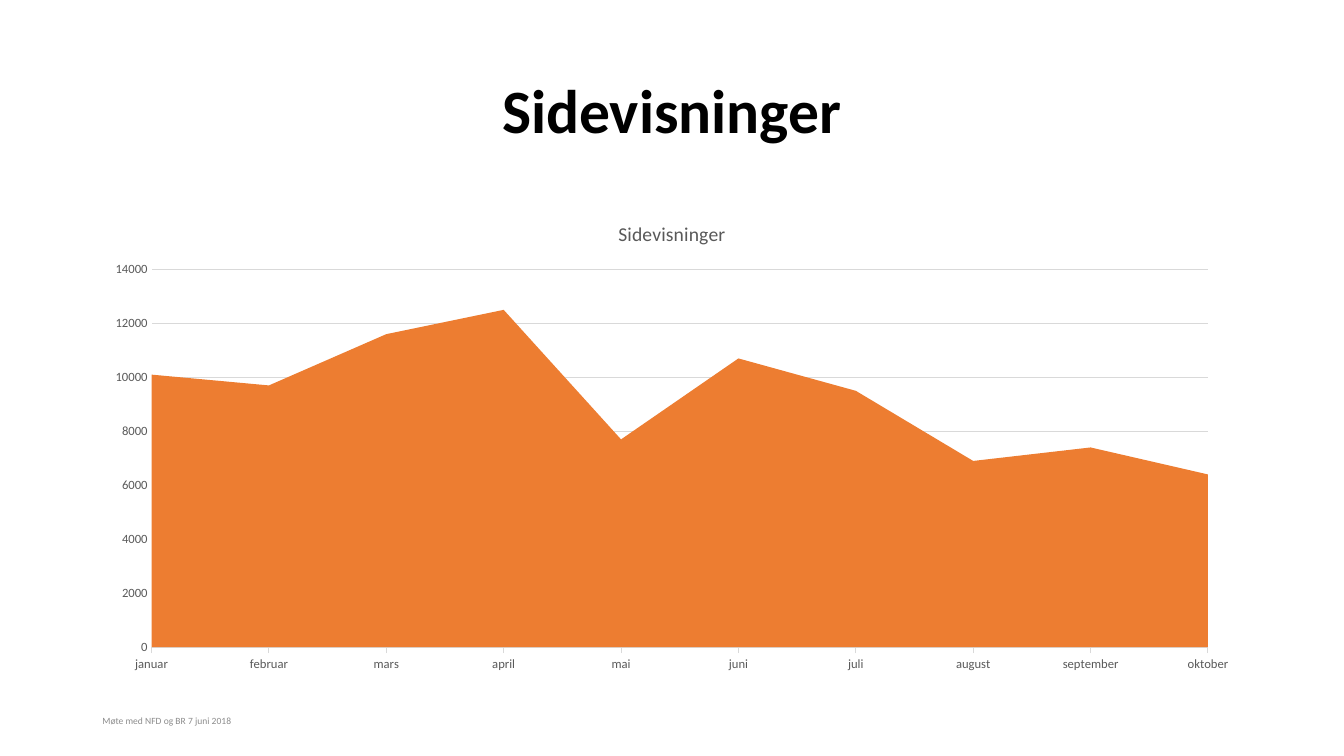
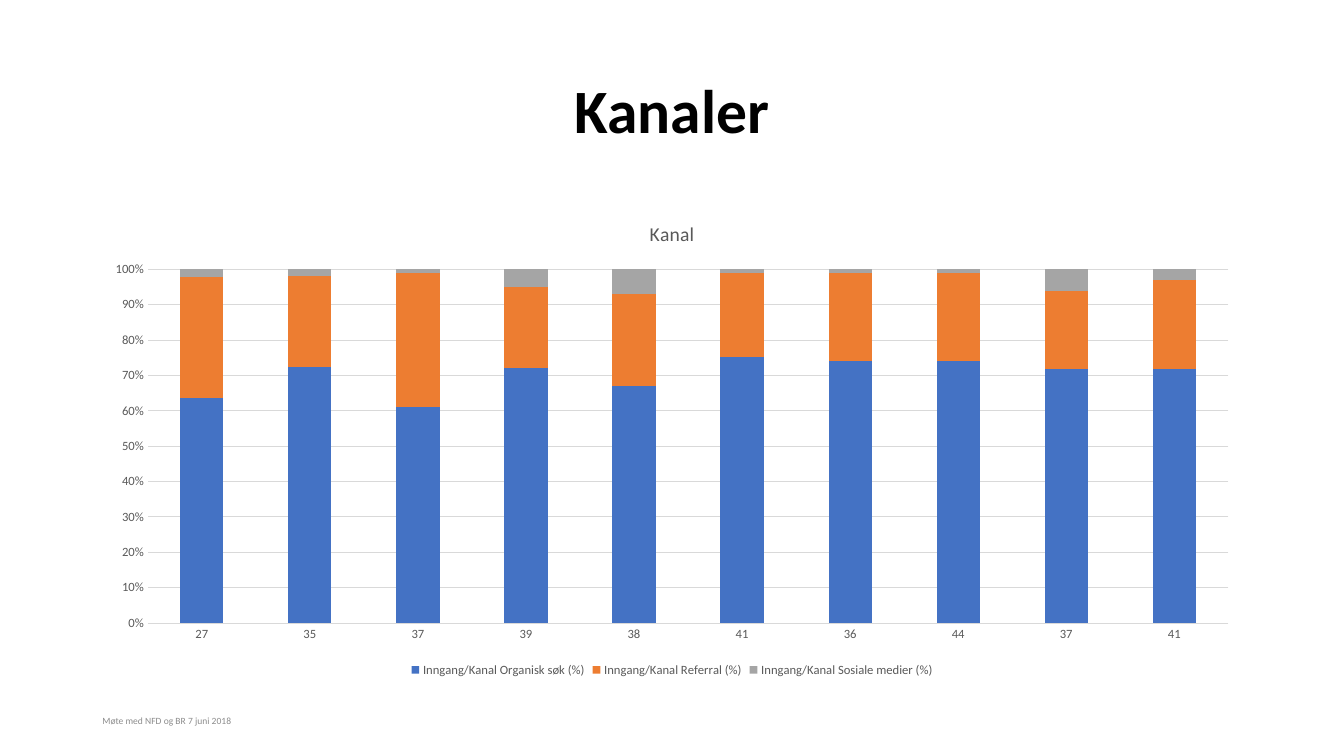
import dataclasses

import pptx
import pptx.chart.data
import pptx.dml.color
import pptx.enum.chart
import pptx.enum.text
import pptx.util

Cm = pptx.util.Cm
Pt = pptx.util.Pt
TICK = pptx.enum.chart.XL_TICK_MARK
CHART = pptx.enum.chart.XL_CHART_TYPE


@dataclasses.dataclass(frozen=True)
class Theme:
    font: str = "Calibri"
    title_color: str = "000000"
    footer_color: str = "8C8C8C"
    chart_text: str = "595959"
    rule: str = "D9D9D9"
    blue: str = "4472C4"
    orange: str = "ED7D31"
    grey: str = "A5A5A5"
    title_size: float = 44
    chart_title_size: float = 14
    label_size: float = 9
    footer_size: float = 6.8
    rule_width: float = 0.75


THEME = Theme()
FOOTER = "Møte med NFD og BR 7 juni 2018"

# Boxes: left, top, width, height
LEFT, WIDTH = Cm(2.33), Cm(29.21)
TITLE_BOX = (LEFT, Cm(1.02), WIDTH, Cm(3.68))
CHART_BOX = (LEFT, Cm(5.08), WIDTH, Cm(12.09))
FOOTER_BOX = (LEFT, Cm(17.65), Cm(7.62), Cm(1.02))


def rgb(color):
    return pptx.dml.color.RGBColor.from_string(color)


def style_font(font, size, color, bold=False):
    font.name = THEME.font
    font.size = Pt(size)
    font.bold = bold
    font.color.rgb = rgb(color)


def style_rule(line):
    line.color.rgb = rgb(THEME.rule)
    line.width = Pt(THEME.rule_width)


def write_text(tf, text, size, color, bold=False):
    tf.word_wrap = True
    tf.auto_size = pptx.enum.text.MSO_AUTO_SIZE.NONE
    tf.vertical_anchor = pptx.enum.text.MSO_ANCHOR.MIDDLE
    p = tf.paragraphs[0]
    r = p.add_run()
    r.text = text
    style_font(r.font, size, color, bold)
    return p


def place_title(slide, box, text):
    sp = slide.shapes.title
    sp.left, sp.top, sp.width, sp.height = box
    p = write_text(sp.text_frame, text, THEME.title_size, THEME.title_color, True)
    p.alignment = pptx.enum.text.PP_ALIGN.CENTER
    p.line_spacing = 0.9


def place_footer(slide, box):
    sp = slide.shapes.add_textbox(*box)
    write_text(sp.text_frame, FOOTER, THEME.footer_size, THEME.footer_color)


def place_chart(slide, box, kind, title, categories, series):
    """Place a chart in the shared style; series holds (name, color, values)."""
    data = pptx.chart.data.CategoryChartData()
    data.categories = categories
    for name, color, values in series:
        data.add_series(name, values)
    chart = slide.shapes.add_chart(kind, *box, data).chart
    style_font(chart.font, THEME.label_size, THEME.chart_text)

    # Chart title
    chart.has_title = True
    chart.chart_title.include_in_layout = False
    r = chart.chart_title.text_frame.paragraphs[0].add_run()
    r.text = title
    style_font(r.font, THEME.chart_title_size, THEME.chart_text)

    # Axes
    for axis in (chart.category_axis, chart.value_axis):
        axis.major_tick_mark = axis.minor_tick_mark = TICK.NONE
        style_font(axis.tick_labels.font, THEME.label_size, THEME.chart_text)
    chart.category_axis.has_major_gridlines = False
    style_rule(chart.category_axis.format.line)
    chart.value_axis.has_major_gridlines = True
    style_rule(chart.value_axis.major_gridlines.format.line)
    chart.value_axis.format.line.fill.background()
    chart.value_axis.minimum_scale = 0

    # Series
    chart.plots[0].vary_by_categories = False
    for drawn, (name, color, values) in zip(chart.plots[0].series, series):
        drawn.format.fill.solid()
        drawn.format.fill.fore_color.rgb = rgb(color)
    chart.has_legend = False
    return chart


def page_views_chart(slide, box):
    months = ["januar", "februar", "mars", "april", "mai", "juni",
              "juli", "august", "september", "oktober"]
    views = [10100, 9700, 11600, 12500, 7700, 10700, 9500, 6900, 7400, 6400]
    chart = place_chart(slide, box, CHART.AREA_STACKED, "Sidevisninger", months,
                        [("Sidevisninger", THEME.orange, views)])
    chart.category_axis.major_tick_mark = TICK.OUTSIDE
    chart.value_axis.maximum_scale = 14000
    chart.value_axis.major_unit = 2000
    chart.value_axis.tick_labels.number_format = "0"
    chart.value_axis.tick_labels.number_format_is_linked = False
    # The area runs from edge to edge
    for cross in chart.element.xpath(".//c:valAx/c:crossBetween"):
        cross.set("val", "midCat")


def channels_chart(slide, box):
    categories = ["27", "35", "37", "39", "38", "41", "36", "44", "37", "41"]
    series = [
        ("Inngang/Kanal Organisk søk (%)", THEME.blue,
         [63, 73, 61, 72, 67, 76, 74, 74, 71, 71]),
        ("Inngang/Kanal Referral (%)", THEME.orange,
         [34, 26, 38, 23, 26, 24, 25, 25, 22, 25]),
        ("Inngang/Kanal Sosiale medier (%)", THEME.grey,
         [2, 2, 1, 5, 7, 1, 1, 1, 6, 3]),
    ]
    chart = place_chart(slide, box, CHART.COLUMN_STACKED_100, "Kanal",
                        categories, series)
    chart.plots[0].gap_width = 150
    chart.plots[0].overlap = 100
    chart.value_axis.maximum_scale = 1
    chart.value_axis.major_unit = 0.1
    chart.value_axis.tick_labels.number_format = "0%"
    chart.value_axis.tick_labels.number_format_is_linked = False
    chart.has_legend = True
    chart.legend.position = pptx.enum.chart.XL_LEGEND_POSITION.BOTTOM
    chart.legend.include_in_layout = False
    style_font(chart.legend.font, THEME.label_size, THEME.chart_text)


def chart_slide(prs, title, draw_chart):
    slide = prs.slides.add_slide(prs.slide_layouts.get_by_name("Title Only"))
    place_title(slide, TITLE_BOX, title)
    place_footer(slide, FOOTER_BOX)
    draw_chart(slide, CHART_BOX)


def main():
    prs = pptx.Presentation()
    prs.slide_width, prs.slide_height = Cm(33.87), Cm(19.05)
    chart_slide(prs, "Sidevisninger", page_views_chart)
    chart_slide(prs, "Kanaler", channels_chart)
    prs.save("out.pptx")


if __name__ == "__main__":
    main()
